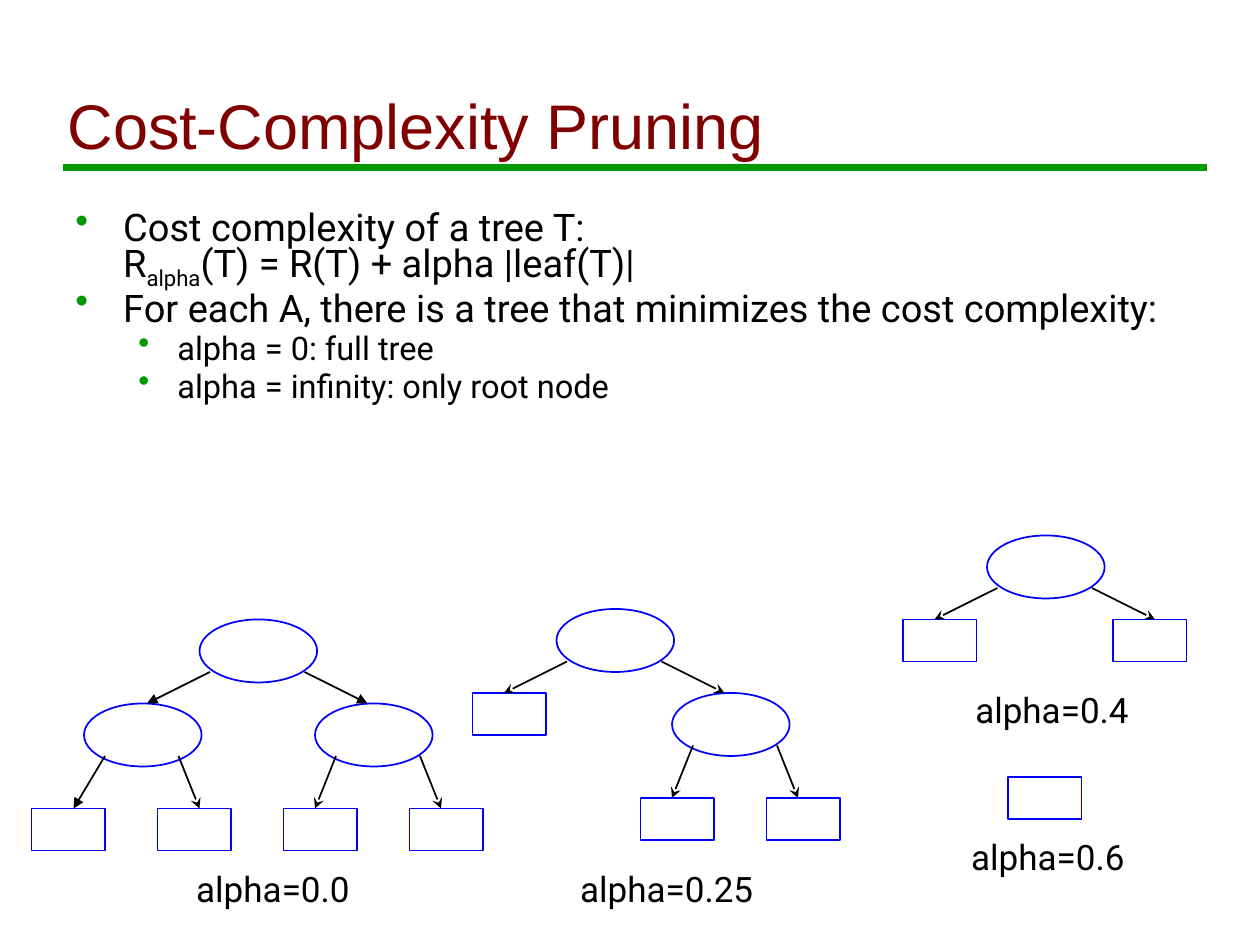
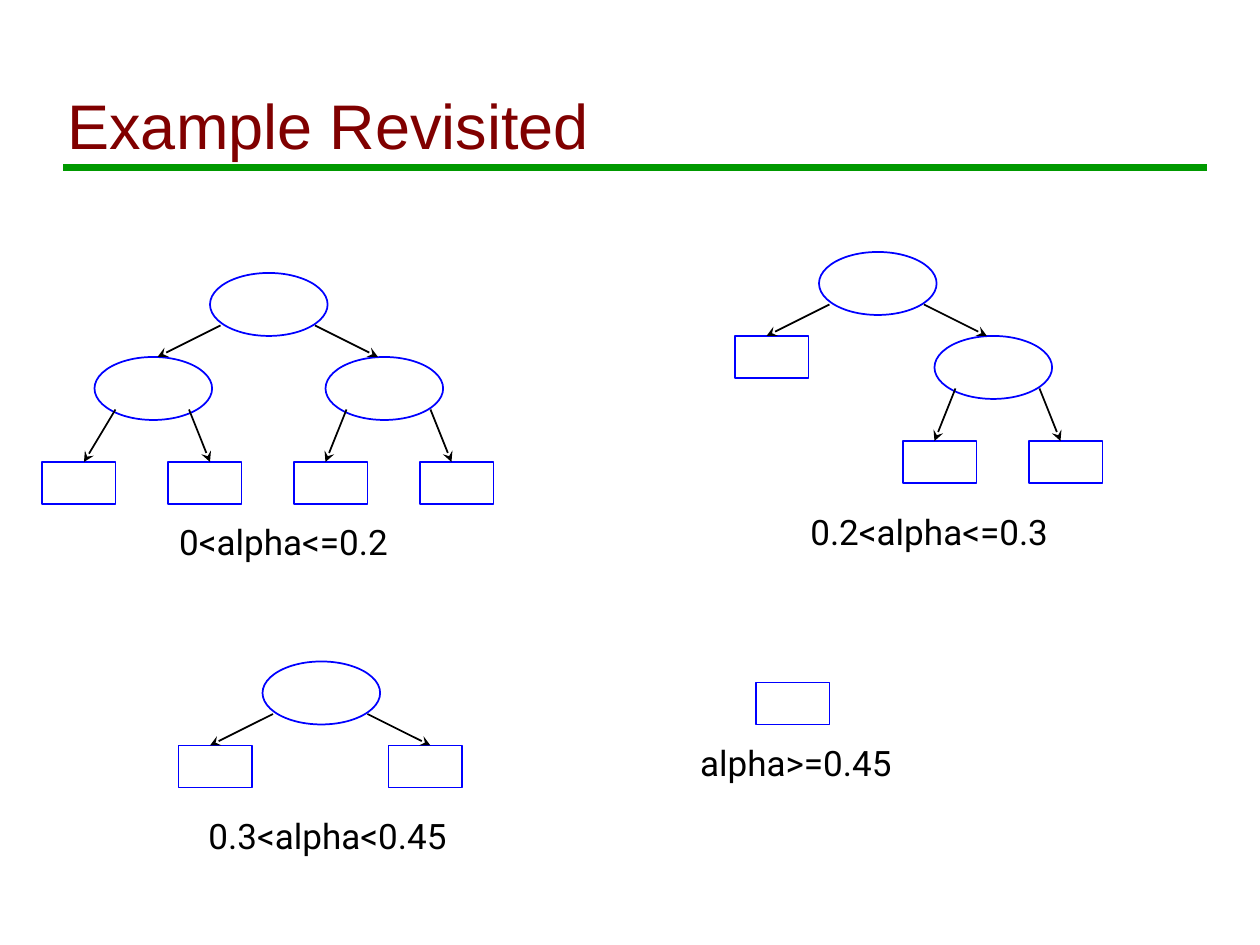
from lxml.etree import SubElement
from pptx import Presentation
from pptx.dml.color import RGBColor
from pptx.enum.shapes import MSO_CONNECTOR, MSO_SHAPE
from pptx.enum.text import MSO_ANCHOR, MSO_AUTO_SIZE, PP_ALIGN
from pptx.oxml.ns import qn
from pptx.util import Inches, Pt

GREEN = RGBColor(0x00, 0x99, 0x00)
MAROON = RGBColor(0x80, 0x00, 0x00)
BLUE = RGBColor(0x00, 0x00, 0xFF)
BLACK = RGBColor(0x00, 0x00, 0x00)

# The slide is a grid of 120 columns by 90 rows of square cells
WIDE, HIGH = Inches(10), Inches(7.5)
CELL = WIDE / 120
NODE = (11.2, 6)
LEAF = (7, 4)

# Trees: "leaf", or a branch with one child on each side
FULL, MID, SMALL = ("node", "node"), ("leaf", "node"), ("leaf", "leaf")
ROOT = "leaf"

# Caption centre and top, in cells from the tree's corner
CAPTION = {FULL: (7, 23), MID: (10.5, 24), SMALL: (6.2, 14), ROOT: (3.8, 5)}

# Lower branches: start and tip of each arrow, and left edge of each leaf
LOWER = {
    "left": (((2, -1), -5), ((9, 11), 7)),
    "right": (((2, 0), -3), ((10, 12), 9)),
}


def grid(*cells):
    return [round(n * CELL) for n in cells]


def style(para, size, color, font):
    for run in para.runs:
        run.font.size = Pt(size)
        run.font.name = font
        run.font.color.rgb = color


def add_text(slide, box):
    frame = slide.shapes.add_textbox(*grid(*box)).text_frame
    frame.word_wrap = True
    return frame


def add_line(slide, start, end, color, width, head=None):
    link = slide.shapes.add_connector(
        MSO_CONNECTOR.STRAIGHT, *grid(*start), *grid(*end))
    link.line.color.rgb = color
    link.line.width = Pt(width)
    props = link._element.spPr
    if head:
        SubElement(props.find(qn("a:ln")), qn("a:tailEnd"), type=head)
    SubElement(props, qn("a:effectLst"))


def add_node(slide, kind, x, y):
    form, size = ((MSO_SHAPE.RECTANGLE, LEAF) if kind == "leaf"
                  else (MSO_SHAPE.OVAL, NODE))
    shape = slide.shapes.add_shape(form, *grid(x, y, *size))
    shape.shadow.inherit = False
    shape.fill.background()
    shape.line.color.rgb = BLUE
    shape.line.width = Pt(1)


def add_twigs(slide, x, y, side, heads):
    """Two leaves below an inner node at x, y."""
    for ((start, tip), left), head in zip(LOWER[side], heads):
        add_node(slide, "leaf", x + left, y + 10)
        add_line(slide, (x + start, y + 5), (x + tip, y + 10), BLACK, 1, head)


def add_tree(slide, tree, x, y, text, width, solid=False):
    """A tree with its root at x, y, and its caption."""
    if tree == ROOT:
        add_node(slide, "leaf", x, y)
    else:
        head = "triangle" if solid else "stealth"
        add_node(slide, "node", x, y)
        sides = (("left", 1, -5, -8, -11), ("right", 10, 16, 12, 11))
        for kind, (side, start, tip, leaf, node) in zip(tree, sides):
            left = x + (leaf if kind == "leaf" else node)
            add_node(slide, kind, left, y + 8)
            add_line(slide, (x + start, y + 5), (x + tip, y + 8),
                     BLACK, 1, head)
            if kind == "node":
                first = head if side == "left" else "stealth"
                add_twigs(slide, left, y + 8, side, (first, "stealth"))

    # Caption
    mid, drop = CAPTION[tree]
    frame = add_text(slide, (x + mid - width / 2, y + drop, width, 5.25))
    frame.word_wrap = False
    frame.auto_size = MSO_AUTO_SIZE.SHAPE_TO_FIT_TEXT
    para = frame.paragraphs[0]
    para.text = text
    para.alignment = PP_ALIGN.CENTER
    style(para, 20, BLACK, "Roboto")


def add_title(slide, text, box):
    """Title above the green rule."""
    add_line(slide, (6, 16), (115, 16), GREEN, 4)
    frame = add_text(slide, box)
    frame.vertical_anchor = MSO_ANCHOR.BOTTOM
    frame.text = text
    style(frame.paragraphs[0], 36, MAROON, "Arial")


def add_list(slide, items, box):
    """Bullets on two levels; an item is a level and its runs."""
    frame = add_text(slide, box)
    for i, (level, first, *rest) in enumerate(items):
        para = frame.add_paragraph() if i else frame.paragraphs[0]
        para.text = first
        for part in rest:
            para.add_run().text = part
        left, hang, size, gap = ((0.81, 0.31, 18.6, 6) if level
                                 else (0.38, 0.38, 21.7, 7))
        props = para._p.get_or_add_pPr()
        props.set("marL", str(Inches(left)))
        props.set("indent", str(-Inches(hang)))
        tint = SubElement(props, qn("a:buClr"))
        SubElement(tint, qn("a:srgbClr"), val=str(GREEN))
        SubElement(props, qn("a:buChar"), char="•")
        para.level = level
        para.line_spacing = 0.7
        para.space_before = Pt(gap if i else 0)
        style(para, size, BLACK, "Roboto")
        if rest:
            sub = next(run for run in para.runs if run.text == rest[0])
            sub._r.get_or_add_rPr().set("baseline", "-25000")


def add_slide(deck, title, trees, items=()):
    slide = deck.slides.add_slide(deck.slide_layouts[6])
    add_title(slide, title, (5.25, 3, 107.6, 13))
    if items:
        add_list(slide, items, (6, 20, 107.3, 37))
    for tree in trees:
        add_tree(slide, *tree)


def main():
    deck = Presentation()
    deck.slide_width, deck.slide_height = WIDE, HIGH

    add_slide(deck, "Cost-Complexity Pruning", [
        (FULL, 19, 59, "alpha=0.0", 17.8, True),
        (MID, 53, 58, "alpha=0.25", 19.7),
        (SMALL, 94, 51, "alpha=0.4", 17.8),
        (ROOT, 96, 74, "alpha=0.6", 17.8),
    ], [
        (0, "Cost complexity of a tree T:\vR", "alpha",
         "(T) = R(T) + alpha |leaf(T)|"),
        (0, "For each A, there is a tree that minimizes the cost complexity:"),
        (1, "alpha = 0: full tree"),
        (1, "alpha = infinity: only root node"),
    ])

    add_slide(deck, "Example Revisited", [
        (FULL, 20, 26, "0<alpha<=0.2", 23.4),
        (MID, 78, 24, "0.2<alpha<=0.3", 26.3),
        (SMALL, 25, 63, "0.3<alpha<0.45", 26.3),
        (ROOT, 72, 65, "alpha>=0.45", 21.6),
    ])
    deck.save("out.pptx")


if __name__ == "__main__":
    main()
